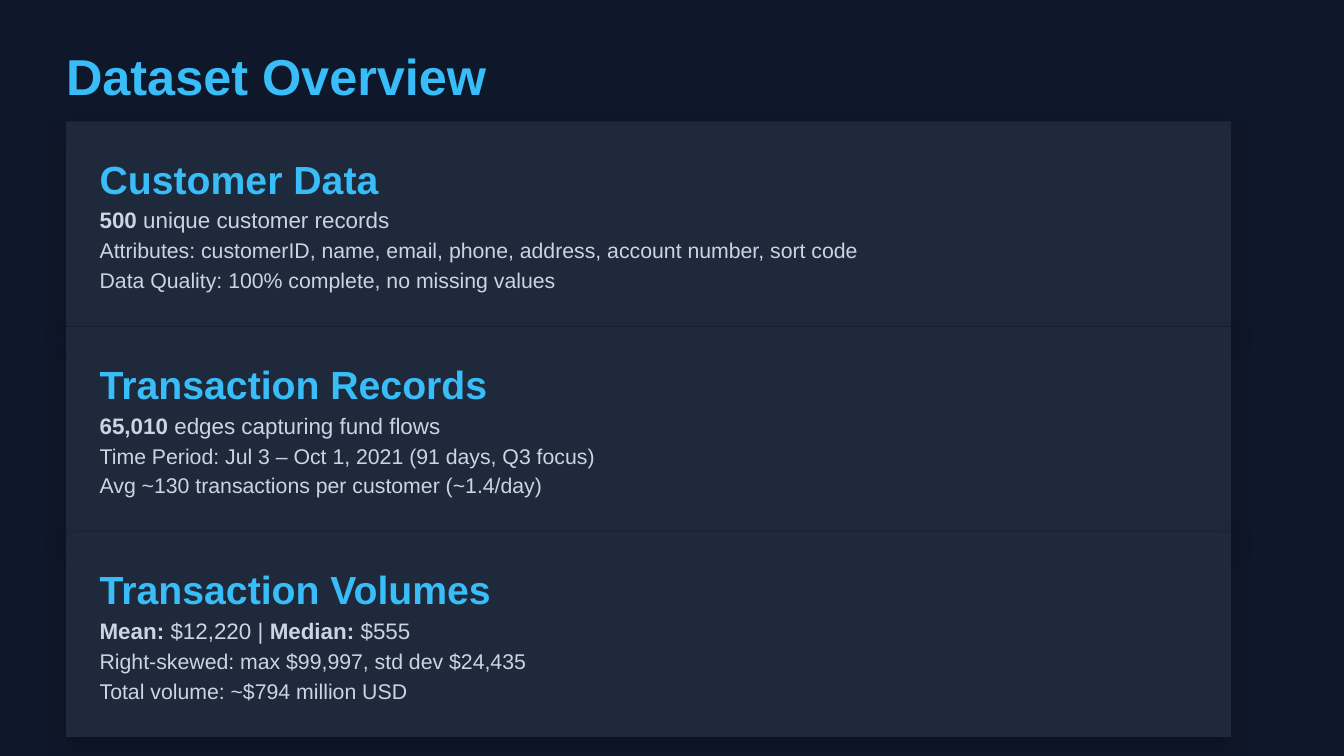
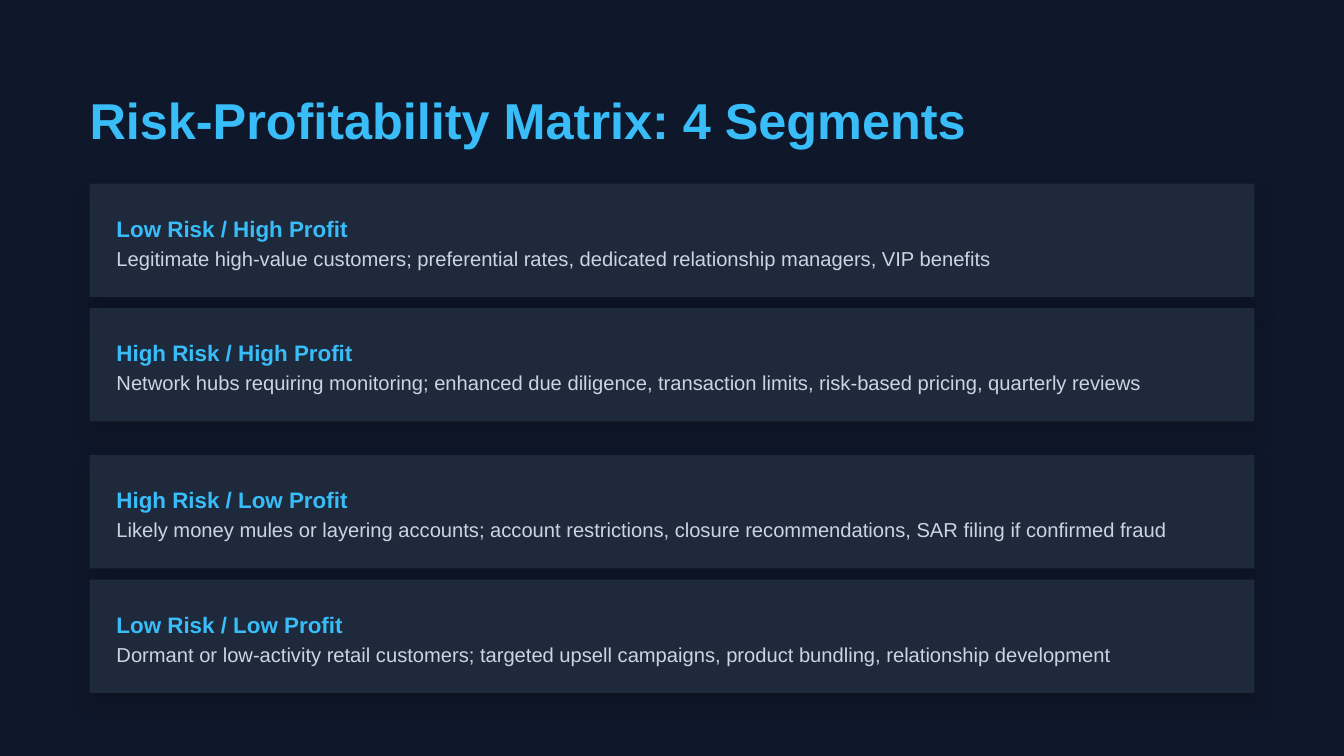
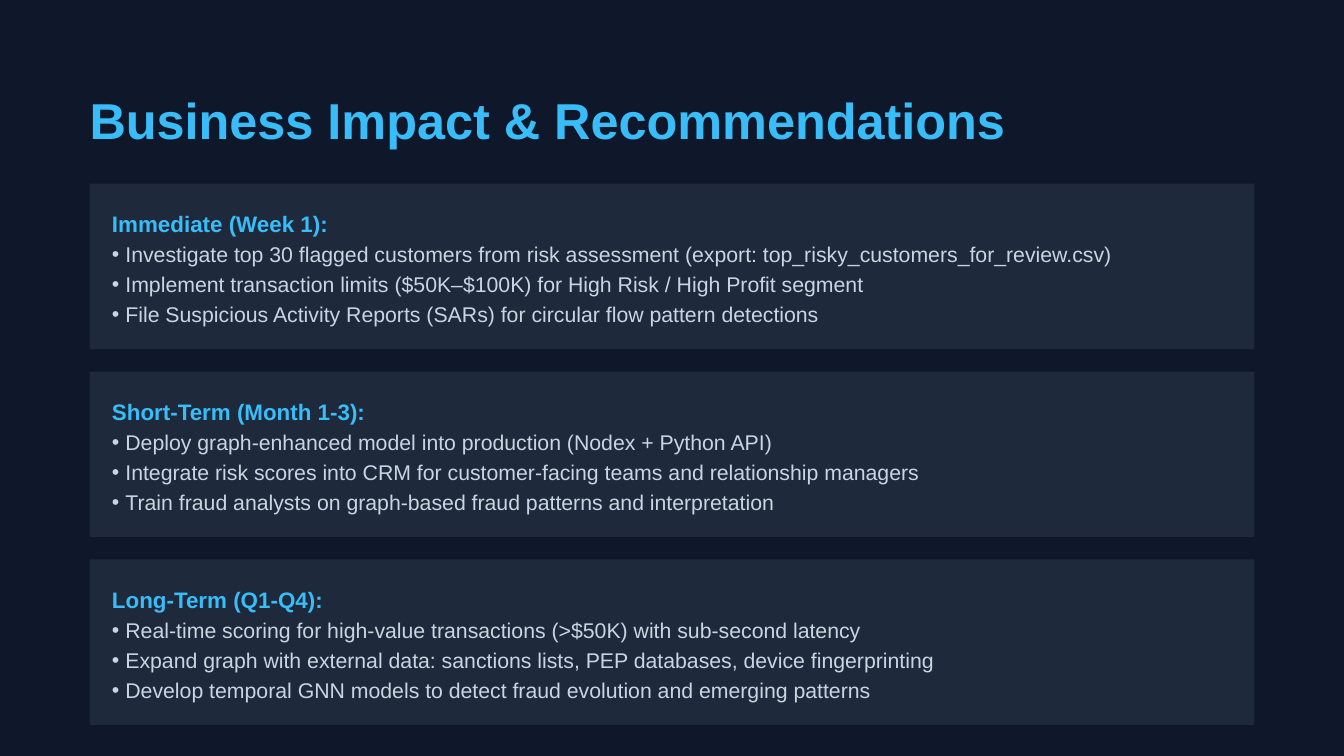
from lxml import etree
from pptx import Presentation, util as u
from pptx.dml.color import RGBColor
from pptx.enum import shapes, text
from pptx.oxml.ns import qn

UNIT = u.Inches(10) / 60  # the slide is a grid of 60 columns by 33.75 rows
CARD_WIDTH = 52
TEXT_SLACK = 1.02  # text boxes run slightly wider than their column


def grid(*lengths):
    return [round(length * UNIT) for length in lengths]


def color(hex_code):
    return RGBColor.from_string(hex_code)


class Deck:
    NAVY, PANEL, SKY, MIST = "0F172A", "1E293B", "38BDF8", "CBD5E1"
    FONT = "Arial"
    # role: size, line height factor, colour, bold
    STYLES = {
        "title": (27, 1.2, SKY, True),
        "heading": (21, 1.2, SKY, True),
        "label": (12, 1.4, SKY, True),
        "lead": (12, 1.4, MIST, False),
        "body": (11.4, 1.4, MIST, False),
        "bullet": (11.4, 1.4, MIST, False),
        "detail": (10.8, 1.4, MIST, False),
    }

    def __init__(self):
        self.prs = Presentation()
        self.prs.slide_width, self.prs.slide_height = grid(60, 33.75)
        self.slide = None

    def new_slide(self, title, left=4, top=4):
        self.slide = self.prs.slides.add_slide(self.prs.slide_layouts[6])
        backdrop = self.slide.background.fill
        backdrop.solid()
        backdrop.fore_color.rgb = color(self.NAVY)
        self.line(title, "title", left, top, CARD_WIDTH)

    def line_height(self, role):
        size, factor = self.STYLES[role][:2]
        return u.Pt(size * factor) / UNIT

    def line(self, wording, role, left, top, width):
        """One line of text; words between asterisks are bold."""
        size, factor, ink, bold = self.STYLES[role]
        box = self.slide.shapes.add_textbox(
            *grid(left, top, width * TEXT_SLACK, self.line_height(role)))
        frame = box.text_frame
        frame.margin_left = frame.margin_right = 0
        frame.margin_top = frame.margin_bottom = 0
        frame.word_wrap = True
        frame.vertical_anchor = text.MSO_ANCHOR.TOP
        paragraph = frame.paragraphs[0]
        paragraph.line_spacing = u.Pt(size * factor)
        for i, part in enumerate(wording.split("*")):
            if part:
                run = paragraph.add_run()
                run.text = part
                run.font.name, run.font.size = self.FONT, u.Pt(size)
                run.font.bold = bold or i % 2 == 1
                run.font.color.rgb = color(ink)
        if role == "bullet":
            self.add_bullet(paragraph)

    def add_bullet(self, paragraph):
        props = paragraph._p.get_or_add_pPr()
        indent = u.Inches(0.1)
        props.set("marL", str(indent))
        props.set("indent", str(-indent))
        etree.SubElement(props, qn("a:buFont"), typeface=self.FONT)
        etree.SubElement(props, qn("a:buChar"), char="•")

    def card(self, lines, left, top, pad, shadow=True):
        """Panel sized to its (role, wording) lines; returns its bottom edge."""
        height = 2 * pad + sum(self.line_height(role) for role, _ in lines)
        panel = self.slide.shapes.add_shape(
            shapes.MSO_SHAPE.RECTANGLE, *grid(left, top, CARD_WIDTH, height))
        panel.fill.solid()
        panel.fill.fore_color.rgb = color(self.PANEL)
        panel.line.fill.background()
        panel.shadow.inherit = False
        if shadow:
            self.add_shadow(panel)
        cursor = top + pad
        for role, wording in lines:
            self.line(wording, role, left + pad, cursor, CARD_WIDTH - 2 * pad)
            cursor += self.line_height(role)
        return top + height

    def add_shadow(self, panel):
        effects = panel._element.spPr.find(qn("a:effectLst"))
        outer = etree.SubElement(
            effects, qn("a:outerShdw"), blurRad=str(u.Pt(12)), dist=str(u.Pt(6)),
            dir=str(90 * 60000), algn="ctr", rotWithShape="0")
        black = etree.SubElement(outer, qn("a:srgbClr"), val="000000")
        etree.SubElement(black, qn("a:alpha"), val="20000")


DATASETS = [
    ("Customer Data", "*500* unique customer records",
     "Attributes: customerID, name, email, phone, address, account number, sort code",
     "Data Quality: 100% complete, no missing values"),
    ("Transaction Records", "*65,010* edges capturing fund flows",
     "Time Period: Jul 3 – Oct 1, 2021 (91 days, Q3 focus)",
     "Avg ~130 transactions per customer (~1.4/day)"),
    ("Transaction Volumes", "*Mean:* $12,220 | *Median:* $555",
     "Right-skewed: max $99,997, std dev $24,435",
     "Total volume: ~$794 million USD"),
]

SEGMENTS = [
    ("Low Risk / High Profit",
     "Legitimate high-value customers; preferential rates, dedicated relationship "
     "managers, VIP benefits"),
    ("High Risk / High Profit",
     "Network hubs requiring monitoring; enhanced due diligence, transaction limits, "
     "risk-based pricing, quarterly reviews"),
    ("High Risk / Low Profit",
     "Likely money mules or layering accounts; account restrictions, closure "
     "recommendations, SAR filing if confirmed fraud"),
    ("Low Risk / Low Profit",
     "Dormant or low-activity retail customers; targeted upsell campaigns, product "
     "bundling, relationship development"),
]

HORIZONS = [
    ("Immediate (Week 1):",
     "Investigate top 30 flagged customers from risk assessment "
     "(export: top_risky_customers_for_review.csv)",
     "Implement transaction limits ($50K–$100K) for High Risk / High Profit segment",
     "File Suspicious Activity Reports (SARs) for circular flow pattern detections"),
    ("Short-Term (Month 1-3):",
     "Deploy graph-enhanced model into production (Nodex + Python API)",
     "Integrate risk scores into CRM for customer-facing teams and relationship managers",
     "Train fraud analysts on graph-based fraud patterns and interpretation"),
    ("Long-Term (Q1-Q4):",
     "Real-time scoring for high-value transactions (>$50K) with sub-second latency",
     "Expand graph with external data: sanctions lists, PEP databases, device fingerprinting",
     "Develop temporal GNN models to detect fraud evolution and emerging patterns"),
]


def main():
    deck = Deck()

    # Dataset overview: cards stacked without gaps
    deck.new_slide("Dataset Overview", left=2.95, top=2.03)
    top = 5.42
    for dataset in DATASETS:
        lines = list(zip(("heading", "lead", "body", "body"), dataset))
        top = deck.card(lines, 2.95, top, pad=1.5)

    # Segments: two pairs, with a wider gap between the pairs
    deck.new_slide("Risk-Profitability Matrix: 4 Segments")
    top = 8.2
    for segment, gap in zip(SEGMENTS, (0.5, 1.5, 0.5, 0)):
        lines = list(zip(("label", "detail"), segment))
        top = deck.card(lines, 4, top, pad=1.2) + gap

    # Recommendations: evenly spaced flat cards
    deck.new_slide("Business Impact & Recommendations")
    top = 8.2
    for horizon, *actions in HORIZONS:
        lines = [("label", horizon)] + [("bullet", action) for action in actions]
        top = deck.card(lines, 4, top, pad=1, shadow=False) + 1

    deck.prs.save("out.pptx")


if __name__ == "__main__":
    main()
